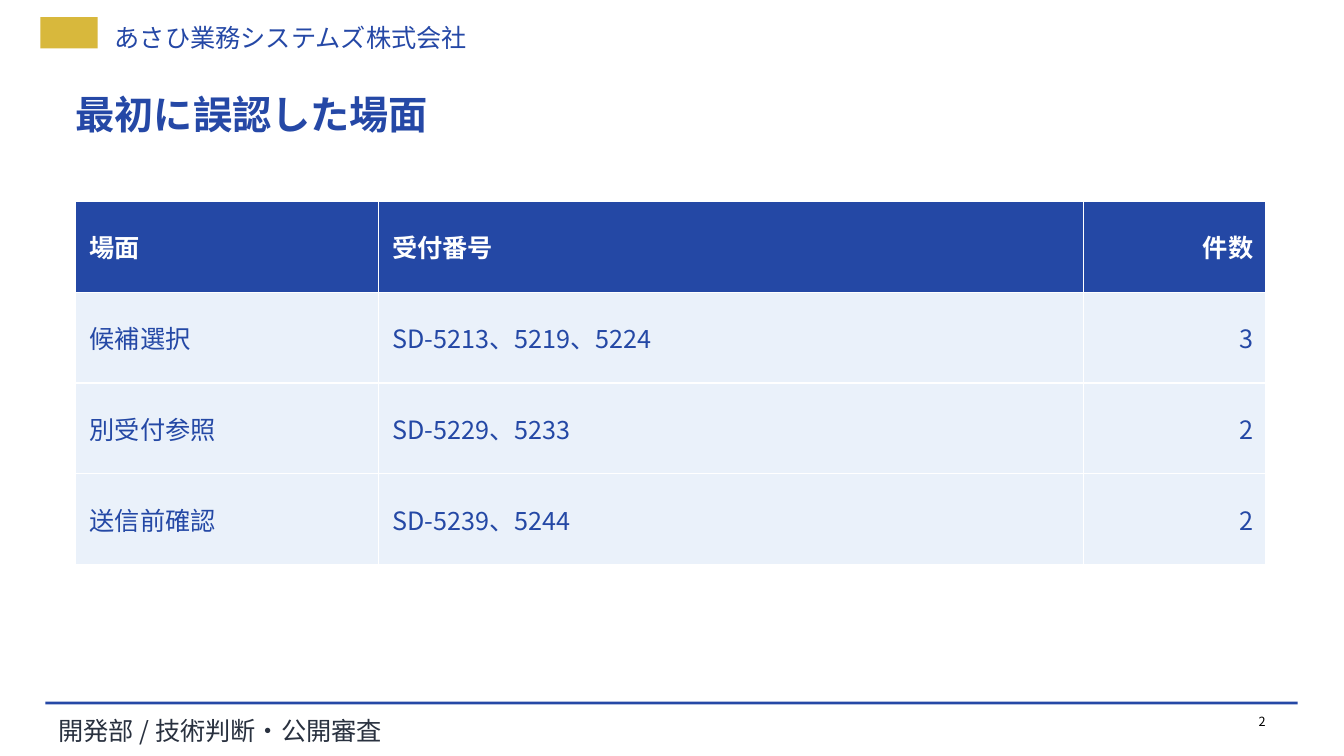
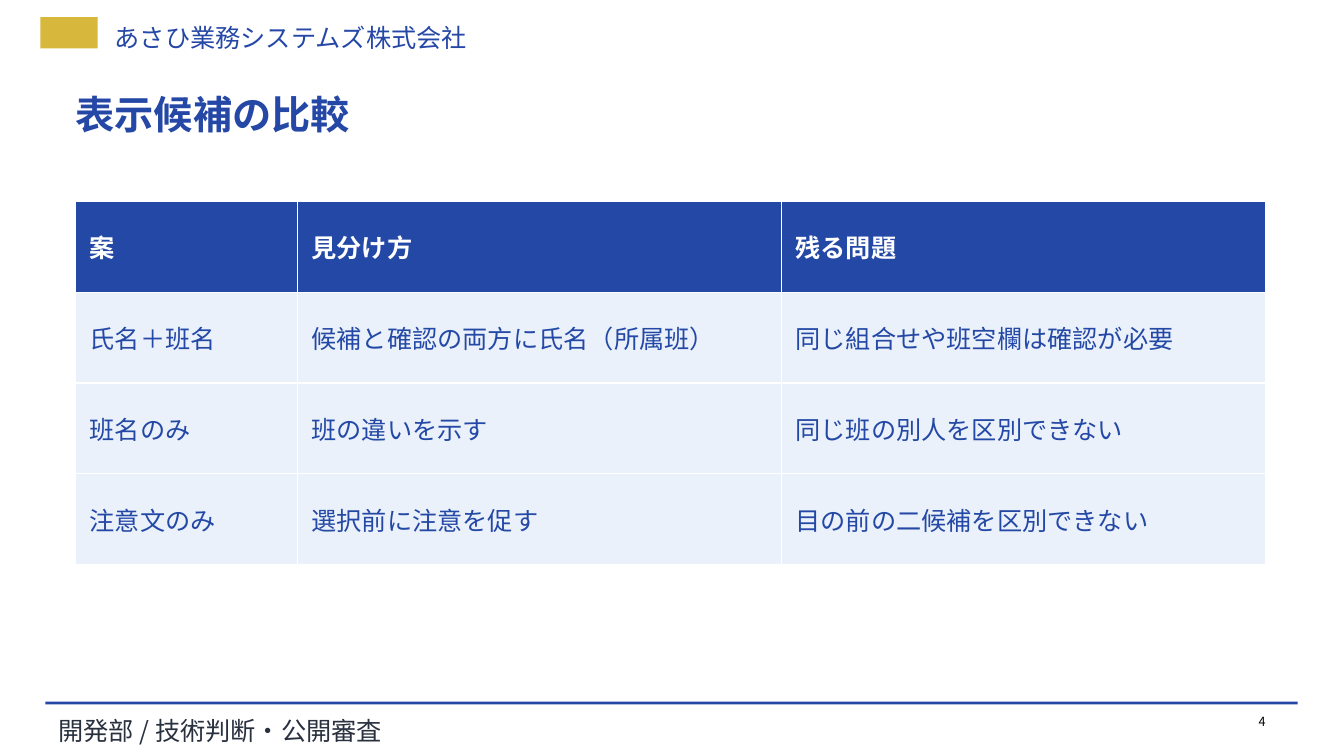
from dataclasses import dataclass

from lxml import etree
from pptx import Presentation
from pptx.dml.color import RGBColor
from pptx.enum.shapes import MSO_SHAPE
from pptx.enum.text import MSO_ANCHOR, MSO_AUTO_SIZE, PP_ALIGN
from pptx.oxml.ns import qn
from pptx.shapes.autoshape import Shape
from pptx.slide import Slide, SlideLayout
from pptx.table import _Cell
from pptx.text.text import TextFrame
from pptx.util import Inches, Length

RECT = MSO_SHAPE.RECTANGLE
LEFT, RIGHT = PP_ALIGN.LEFT, PP_ALIGN.RIGHT
TOP, MIDDLE = MSO_ANCHOR.TOP, MSO_ANCHOR.MIDDLE
GROW, FIXED = MSO_AUTO_SIZE.SHAPE_TO_FIT_TEXT, MSO_AUTO_SIZE.NONE
TITLE_ONLY = 5
UNIT = 0.1  # inches in one grid step


def grid(steps: float) -> Length:
    return Inches(steps * UNIT)


@dataclass(frozen=True)
class Style:
    size: float
    color: str
    bold: bool = False


@dataclass(frozen=True)
class Theme:
    font: str = "Noto Sans CJK JP"
    blue: str = "2548A6"
    gold: str = "D8B83C"
    head: str = "2448A5"
    row: str = "EAF1FA"
    title: Style = Style(28, "2548A6", True)
    brand: Style = Style(18, "2548A6")
    foot: Style = Style(18, "29313F")
    page: Style = Style(9, "000000")
    label: Style = Style(18, "FFFFFF", True)
    value: Style = Style(18, "2448A5")


@dataclass(frozen=True)
class Box:
    """Left, top, width and height in grid steps."""
    col: float
    row: float
    cols: float
    rows: float

    def place(self) -> tuple[Length, ...]:
        return tuple(map(grid, (self.col, self.row, self.cols, self.rows)))


@dataclass(frozen=True)
class Column:
    label: str
    width: float
    cells: tuple[str, ...]
    align: PP_ALIGN = LEFT


@dataclass(frozen=True)
class Page:
    number: int
    title: str
    columns: tuple[Column, ...]


THEME = Theme()
MARK = Box(4, 1.7, 5.7, 3.1)
BRAND = Box(10.4, 1.7, 70, 3.4)
RULE = Box(4.5, 69.6, 124.2, 0.3)
FOOT = Box(4.8, 70.5, 100, 2.6)
TITLE = Box(6.5, 8.5, 120, 10)
NUMBER = Box(120.5, 70.3, 6, 3)
TABLE = Box(7.5, 20, 118, 36)

PAGES = (
    Page(2, "最初に誤認した場面", (
        Column("場面", 30, ("候補選択", "別受付参照", "送信前確認")),
        Column("受付番号", 70,
               ("SD-5213、5219、5224", "SD-5229、5233", "SD-5239、5244")),
        Column("件数", 18, ("3", "2", "2"), RIGHT),
    )),
    Page(4, "表示候補の比較", (
        Column("案", 22, ("氏名＋班名", "班名のみ", "注意文のみ")),
        Column("見分け方", 48, ("候補と確認の両方に氏名（所属班）",
                            "班の違いを示す", "選択前に注意を促す")),
        Column("残る問題", 48, ("同じ組合せや班空欄は確認が必要",
                            "同じ班の別人を区別できない",
                            "目の前の二候補を区別できない")),
    )),
)


def write(frame: TextFrame, text: str, style: Style,
          align: PP_ALIGN = LEFT) -> None:
    """Set one paragraph, with the font for Latin and Japanese letters."""
    frame.text = text
    para = frame.paragraphs[0]
    para.alignment = align
    for run in para.runs:
        font = run.font
        font.name = THEME.font
        font.size = Inches(style.size / 72)
        font.bold = style.bold
        font.color.rgb = RGBColor.from_string(style.color)
        east = etree.SubElement(run._r.get_or_add_rPr(), qn("a:ea"))
        east.set("typeface", THEME.font)


def add_text(slide: Slide, box: Box, text: str, style: Style,
             align: PP_ALIGN = LEFT) -> Shape:
    shape = slide.shapes.add_textbox(*box.place())
    frame = shape.text_frame
    frame.word_wrap = True
    frame.auto_size = GROW
    write(frame, text, style, align)
    return shape


def add_block(slide: Slide, box: Box, color: str) -> Shape:
    shape = slide.shapes.add_shape(RECT, *box.place())
    shape.shadow.inherit = False
    shape.fill.solid()
    shape.fill.fore_color.rgb = RGBColor.from_string(color)
    shape.line.fill.background()
    return shape


def add_frame(slide: Slide, layout: SlideLayout) -> None:
    """Draw the header and footer, then move them to the shared layout."""
    parts = (
        add_block(slide, MARK, THEME.gold),
        add_text(slide, BRAND, "あさひ業務システムズ株式会社", THEME.brand),
        add_block(slide, RULE, THEME.blue),
        add_text(slide, FOOT, "開発部 / 技術判断・公開審査", THEME.foot),
    )
    for part in parts:
        layout.shapes.element.append(part.element)


def add_title(slide: Slide, text: str) -> None:
    title = slide.shapes.title
    title.left, title.top, title.width, title.height = TITLE.place()
    frame = title.text_frame
    frame.vertical_anchor = TOP
    frame.auto_size = FIXED
    write(frame, text, THEME.title)


def fill_cell(cell: _Cell, text: str, style: Style, color: str,
              align: PP_ALIGN) -> None:
    cell.fill.solid()
    cell.fill.fore_color.rgb = RGBColor.from_string(color)
    cell.vertical_anchor = MIDDLE
    cell.margin_left, cell.margin_right = grid(1.4), grid(1.2)
    cell.margin_top = cell.margin_bottom = grid(0.5)
    write(cell.text_frame, text, style, align)


def add_grid(slide: Slide, columns: tuple[Column, ...]) -> None:
    count = len(columns[0].cells) + 1
    table = slide.shapes.add_table(count, len(columns), *TABLE.place()).table
    table.horz_banding = False
    for x, column in enumerate(columns):
        table.columns[x].width = grid(column.width)
        fill_cell(table.cell(0, x), column.label, THEME.label, THEME.head,
                  column.align)
        for y, text in enumerate(column.cells, 1):
            fill_cell(table.cell(y, x), text, THEME.value, THEME.row,
                      column.align)


def main() -> None:
    deck = Presentation()
    deck.slide_width, deck.slide_height = Inches(13.33), Inches(7.5)
    layout = deck.slide_layouts[TITLE_ONLY]
    for index, page in enumerate(PAGES):
        slide = deck.slides.add_slide(layout)
        if index == 0:
            add_frame(slide, layout)
        add_title(slide, page.title)
        add_text(slide, NUMBER, str(page.number), THEME.page, RIGHT)
        add_grid(slide, page.columns)
    deck.save("out.pptx")


if __name__ == "__main__":
    main()
